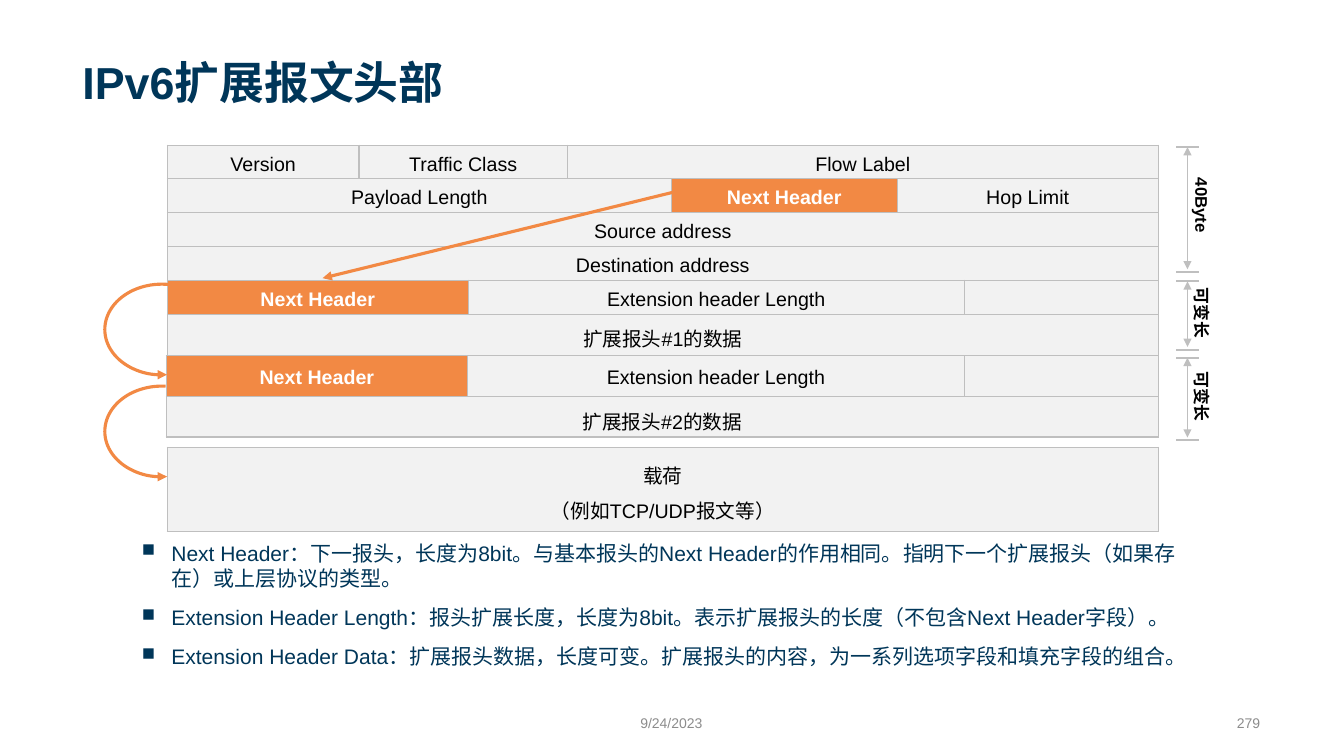
"""Build the slide on IPv6 extension headers."""
from pptx import Presentation, util as u
from pptx.dml.color import RGBColor
from pptx.enum import shapes, text
from pptx.oxml import parse_xml
from pptx.oxml.ns import nsdecls

Pt = u.Pt
NAVY = RGBColor(0x00, 0x36, 0x59)
ORANGE = RGBColor(0xF2, 0x89, 0x44)
LIGHT = RGBColor(0xF2, 0xF2, 0xF2)
GREY = RGBColor(0xBF, 0xBF, 0xBF)
FOOTER = RGBColor(0x8C, 0x8C, 0x8C)
BLACK = RGBColor(0, 0, 0)
WHITE = RGBColor(255, 255, 255)
LEFT, CENTER, RIGHT = text.PP_ALIGN.LEFT, text.PP_ALIGN.CENTER, text.PP_ALIGN.RIGHT
TOP, MIDDLE, BOTTOM = text.MSO_ANCHOR.TOP, text.MSO_ANCHOR.MIDDLE, text.MSO_ANCHOR.BOTTOM

TITLE = "IPv6扩展报文头部"
KEY = "Next Header"
LENGTH = "Extension header Length"

# left, top, row heights, cell margins (x, y), column widths, rows of (text, span)
TABLES = [
    (119.6, 103.7, [24.1] * 4, (2.9, 1.5), [136.8, 149, 74.2, 161.3, 186.5], [
        [("Version", 1), ("Traffic Class", 1), ("Flow Label", 3)],
        [("Payload Length", 3), (KEY, 1), ("Hop Limit", 1)],
        [("Source address", 5)],
        [("Destination address", 5)]]),
    (119.6, 200.1, [24.7, 29.1], (2.9, 1.5), [214.8, 354.6, 138.4], [
        [(KEY, 1), (LENGTH, 1), ("", 1)],
        [("扩展报头#1的数据", 3)]]),
    (118.8, 254, [29.1, 29.1], (7.2, 3.6), [215.2, 355, 138.4], [
        [(KEY, 1), (LENGTH, 1), ("", 1)],
        [("扩展报头#2的数据", 3)]]),
    (119.6, 319.7, [59.8], (7.2, 3.6), [707.8], [
        [("载荷\n（例如TCP/UDP报文等）", 1)]]),
]

# top, bottom, label, label centre, label width
MEASURES = [
    (105.1, 194.4, "40Byte", 146.9, 54),
    (201, 249.8, "可变长", 223.9, 51),
    (255.6, 314.6, "可变长", 283.7, 51),
]
MEASURE_X, CAP_HALF, LABEL_X, LABEL_H = 848.2, 8, 860.8, 23

ARCS = [(203, 167.457), (275.8, 164.843)]

NOTES = [
    "Next Header：下一报头，长度为8bit。与基本报头的Next Header的作用相同。"
    "指明下一个扩展报头（如果存在）或上层协议的类型。",
    "Extension Header Length：报头扩展长度，长度为8bit。"
    "表示扩展报头的长度（不包含Next Header字段）。",
    "Extension Header Data：扩展报头数据，长度可变。"
    "扩展报头的内容，为一系列选项字段和填充字段的组合。",
]


def write(p, words, size, color, bold=False, align=LEFT, spacing=1.2):
    p.alignment = align
    p.line_spacing = spacing
    r = p.add_run()
    r.text = words
    r.font.name, r.font.size, r.font.bold = "Arial", Pt(size), bold
    r.font.color.rgb = color


def add_box(s, x, y, w, h, anchor=TOP, wrap=True):
    sp = s.shapes.add_textbox(Pt(x), Pt(y), Pt(w), Pt(h))
    sp.text_frame.word_wrap = wrap
    sp.text_frame.vertical_anchor = anchor
    return sp


def style_line(sp, color, width, ends=()):
    sp.line.color.rgb = color
    sp.line.width = Pt(width)
    ln = sp.line._get_or_add_ln()
    for end in ends:
        ln.append(parse_xml(f'<a:{end} {nsdecls("a")} type="triangle"/>'))


def add_line(s, x1, y1, x2, y2, color, width, ends=()):
    sp = s.shapes.add_connector(shapes.MSO_CONNECTOR.STRAIGHT, Pt(x1), Pt(y1), Pt(x2), Pt(y2))
    style_line(sp, color, width, ends)
    sp._element.spPr.append(parse_xml(f'<a:effectLst {nsdecls("a")}/>'))


def style_cell(cell, fill, margins):
    tc_pr = cell._tc.get_or_add_tcPr()
    for side in "LRTB":
        tc_pr.append(parse_xml(
            f'<a:ln{side} {nsdecls("a")} w="{Pt(1)}"><a:solidFill>'
            f'<a:srgbClr val="{GREY}"/></a:solidFill></a:ln{side}>'))
    cell.fill.solid()
    cell.fill.fore_color.rgb = fill
    cell.margin_left = cell.margin_right = Pt(margins[0])
    cell.margin_top = cell.margin_bottom = Pt(margins[1])
    cell.vertical_anchor = MIDDLE
    cell.text_frame.paragraphs[0]._p.get_or_add_endParaRPr().set("sz", "1400")


def add_header_table(s, x, y, heights, margins, widths, rows):
    table = s.shapes.add_table(len(rows), len(widths), Pt(x), Pt(y),
                               Pt(sum(widths)), Pt(sum(heights))).table
    table.first_row = table.horz_banding = False
    for column, width in zip(table.columns, widths):
        column.width = Pt(width)
    for i, fields in enumerate(rows):
        table.rows[i].height = Pt(heights[i])
        col = 0
        for words, span in fields:
            key = words == KEY
            for j in range(col, col + span):
                style_cell(table.cell(i, j), ORANGE if key else LIGHT, margins)
            cell = table.cell(i, col)
            if span > 1:
                cell.merge(table.cell(i, col + span - 1))
            tf = cell.text_frame
            for n, line in enumerate(words.split("\n") if words else []):
                p = tf.add_paragraph() if n else tf.paragraphs[0]
                write(p, line, 14, WHITE if key else BLACK, key, CENTER)
            col += span


def add_measure(s, top, bottom, label, middle, width):
    for y in (top, bottom):
        add_line(s, MEASURE_X - CAP_HALF, y, MEASURE_X + CAP_HALF, y, GREY, 1.5)
    add_line(s, MEASURE_X, top, MEASURE_X, bottom - 2, GREY, 0.5, ("headEnd", "tailEnd"))
    sp = add_box(s, LABEL_X - width / 2, middle - LABEL_H / 2, width, LABEL_H, wrap=False)
    sp.rotation = 90
    write(sp.text_frame.paragraphs[0], label, 12, BLACK, True)


def add_arc(s, top, end):
    sp = s.shapes.add_shape(shapes.MSO_SHAPE.ARC, Pt(74.9), Pt(top), Pt(81.4), Pt(64.8))
    sp.adjustments[0], sp.adjustments[1] = 50.017, end
    sp.shadow.inherit = False
    sp.fill.background()
    style_line(sp, ORANGE, 2.25, ("headEnd",))


def add_notes_list(s):
    tf = add_box(s, 94.3, 382.3, 757.4, 133.9).text_frame
    for i, note in enumerate(NOTES):
        p = tf.add_paragraph() if i else tf.paragraphs[0]
        p_pr = p._p.get_or_add_pPr()
        p_pr.set("marL", str(Pt(21)))
        p_pr.set("indent", str(-Pt(21)))
        p_pr.append(parse_xml(f'<a:buSzPct {nsdecls("a")} val="85000"/>'))
        p_pr.append(parse_xml(f'<a:buChar {nsdecls("a")} char="■"/>'))
        if i:
            p.space_before = Pt(10)
        write(p, note, 15, NAVY, spacing=1.0)


def main():
    prs = Presentation()
    prs.slide_width, prs.slide_height = Pt(960), Pt(540)
    s = prs.slides.add_slide(prs.slide_layouts[6])
    title = add_box(s, 51.8, 10.1, 855.4, 70.6, BOTTOM)
    write(title.text_frame.paragraphs[0], TITLE, 32, NAVY, True)
    for table in TABLES:
        add_header_table(s, *table)
    add_line(s, 480.2, 137.5, 230.4, 198.7, ORANGE, 2.25, ("tailEnd",))
    for measure in MEASURES:
        add_measure(s, *measure)
    for arc in ARCS:
        add_arc(s, *arc)
    add_notes_list(s)
    for words, x, width, align in (("9/24/2023", 371.5, 216, CENTER), ("279", 612, 295.2, RIGHT)):
        sp = add_box(s, x, 504.7, width, 21.6, MIDDLE)
        write(sp.text_frame.paragraphs[0], words, 10, FOOTER, align=align)
    prs.save("out.pptx")


if __name__ == "__main__":
    main()
